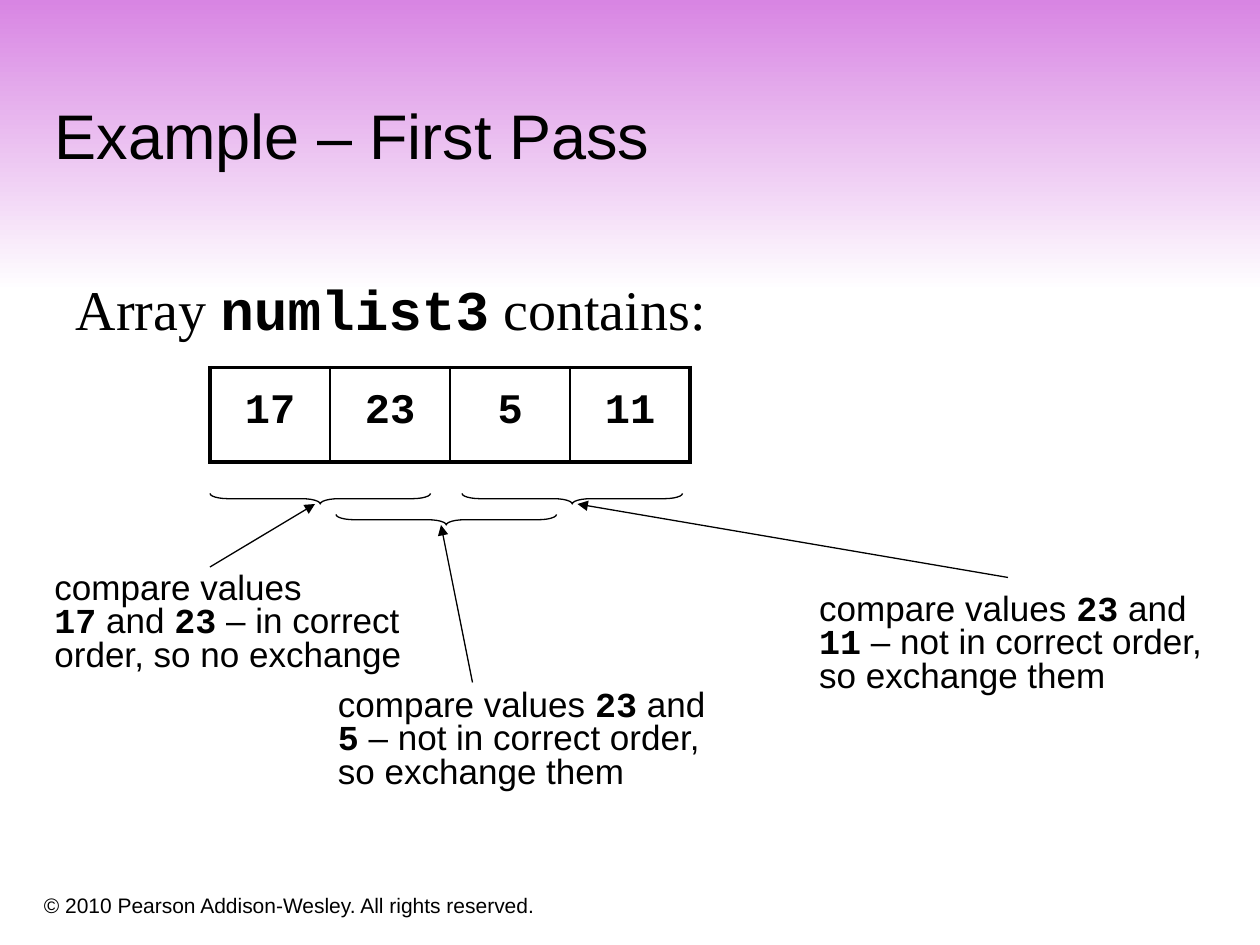
from lxml import etree
from pptx import Presentation
from pptx.dml.color import RGBColor
from pptx.enum.shapes import MSO_CONNECTOR, MSO_SHAPE
from pptx.enum.text import MSO_ANCHOR, MSO_AUTO_SIZE, PP_ALIGN
from pptx.oxml.ns import qn
from pptx.util import Pt

STRAIGHT = MSO_CONNECTOR.STRAIGHT
RECT, BRACE = MSO_SHAPE.RECTANGLE, MSO_SHAPE.RIGHT_BRACE
TOP, BOTTOM = MSO_ANCHOR.TOP, MSO_ANCHOR.BOTTOM
LEFT, CENTER = PP_ALIGN.LEFT, PP_ALIGN.CENTER
NO_FIT, GROW = MSO_AUTO_SIZE.NONE, MSO_AUTO_SIZE.SHAPE_TO_FIT_TEXT

COLORS = {"ink": "000000", "band": "D885E3", "paper": "FFFFFF"}
SANS, SERIF, CODE = "Arial", "Times New Roman", "Courier New"

TITLE = "Example – First Pass"
INTRO = "Array `numlist3` contains:"
COPYRIGHT = "© 2010 Pearson Addison-Wesley. All rights reserved."
VALUES = [17, 23, 5, 11]
TABLE_LEFT, TABLE_TOP, CELL_W, CELL_H = 120, 210, 68.6, 54
THICK, THIN = 2.25, 1
BRACE_DEPTH, BRACE_SPAN = 6, 126
COMPARISONS = [
    {"lines": ["compare values", "`17` and `23` – in correct", "order, so no exchange"],
     "box": (24, 324, 214, 65), "brace": (183, 282), "arrow": (120, 324, 180, 288)},
    {"lines": ["compare values `23` and", "`5` – not in correct order,", "so exchange them"],
     "box": (186, 391, 227.5, 65), "brace": (255, 294), "arrow": (270, 390, 252, 300)},
    {"lines": ["compare values `23` and", "`11` – not in correct order,", "so exchange them"],
     "box": (461, 336, 234, 65), "brace": (327, 282), "arrow": (576, 330, 330, 288)},
]


def rgb(name):
    return RGBColor.from_string(COLORS[name])


def write(p, text, size, font=SANS):
    for i, part in enumerate(text.split("`")):
        if part:
            r = p.add_run()
            r.text = part
            r.font.size = Pt(size)
            r.font.name = CODE if i % 2 else font
            r.font.bold = bool(i % 2)
            r.font.color.rgb = rgb("ink")


def place(sp, left, top, width, height):
    sp.left, sp.top, sp.width, sp.height = map(Pt, (left, top, width, height))


def fill_placeholder(sp, box, text, size, font, anchor):
    place(sp, *box)
    tf = sp.text_frame
    tf.auto_size = NO_FIT
    tf.vertical_anchor = anchor
    p = tf.paragraphs[0]
    p.alignment = LEFT
    p.space_before = Pt(0)
    write(p, text, size, font)
    return p


def add_text(s, box, lines, size, spacing=1.0):
    tf = s.shapes.add_textbox(*map(Pt, box)).text_frame
    for i, line in enumerate(lines):
        p = tf.add_paragraph() if i else tf.paragraphs[0]
        p.line_spacing = spacing
        write(p, line, size)
    return tf


def style_line(line):
    line.color.rgb = rgb("ink")
    line.width = Pt(0.75)


def add_band(s):
    sp = s.shapes.add_shape(RECT, 0, 0, Pt(720), Pt(167))
    sp.shadow.inherit = False
    sp.line.fill.background()
    sp.fill.gradient()
    sp.fill.gradient_angle = 270
    for stop, name in zip(sp.fill.gradient_stops, ("band", "paper")):
        stop.color.rgb = rgb(name)


def add_border(cell, side, width):
    ln = etree.SubElement(cell._tc.get_or_add_tcPr(), qn(f"a:ln{side}"), w=str(Pt(width)))
    fill = etree.SubElement(ln, qn("a:solidFill"))
    etree.SubElement(fill, qn("a:srgbClr"), val=COLORS["ink"])


def add_array(s):
    n = len(VALUES)
    table = s.shapes.add_table(1, n, Pt(TABLE_LEFT), Pt(TABLE_TOP),
                               Pt(CELL_W * n), Pt(CELL_H)).table
    table.first_row = table.horz_banding = False
    for i, value in enumerate(VALUES):
        table.columns[i].width = Pt(CELL_W)
        cell = table.cell(0, i)
        widths = {"L": THIN if i else THICK, "R": THIN if i < n - 1 else THICK,
                  "T": THICK, "B": THICK}
        for side, width in widths.items():
            add_border(cell, side, width)
        cell.fill.background()
        p = cell.text_frame.paragraphs[0]
        p.alignment = CENTER
        p.line_spacing = 1.3
        write(p, f"`{value}`", 24)


def add_brace(s, x, y):
    sp = s.shapes.add_shape(BRACE, Pt(x - BRACE_DEPTH / 2), Pt(y + BRACE_DEPTH / 2 - BRACE_SPAN / 2),
                            Pt(BRACE_DEPTH), Pt(BRACE_SPAN))
    sp.rotation = 90
    sp.adjustments[0] = 1.75
    sp.shadow.inherit = False
    sp.fill.background()
    style_line(sp.line)


def add_arrow(s, points):
    c = s.shapes.add_connector(STRAIGHT, *map(Pt, points))
    style_line(c.line)
    etree.SubElement(c.line._get_or_add_ln(), qn("a:tailEnd"), type="triangle")
    etree.SubElement(c._element.spPr, qn("a:effectLst"))


def main():
    prs = Presentation()
    prs.slide_width, prs.slide_height = Pt(720), Pt(540)
    s = prs.slides.add_slide(prs.slide_layouts[1])
    title, body = s.placeholders
    add_band(s)
    band = s.shapes[-1]._element
    title._element.addprevious(band)

    fill_placeholder(title, (24, 24, 678, 78), TITLE, 36, SANS, BOTTOM)
    p = fill_placeholder(body, (36, 153, 654, 294), INTRO, 32, SERIF, TOP)
    pPr = p._p.get_or_add_pPr()
    pPr.set("marL", str(Pt(27)))
    pPr.set("indent", str(Pt(-27)))
    etree.SubElement(pPr, qn("a:buNone"))

    tf = add_text(s, (18, 498, 438, 30), [COPYRIGHT], 12)
    tf.word_wrap = True
    tf.vertical_anchor = BOTTOM

    add_array(s)
    for item in COMPARISONS:
        tf = add_text(s, item["box"], item["lines"], 20, 0.8)
        tf.word_wrap = False
        tf.auto_size = GROW
        add_brace(s, *item["brace"])
        add_arrow(s, item["arrow"])
    prs.save("out.pptx")


if __name__ == "__main__":
    main()
